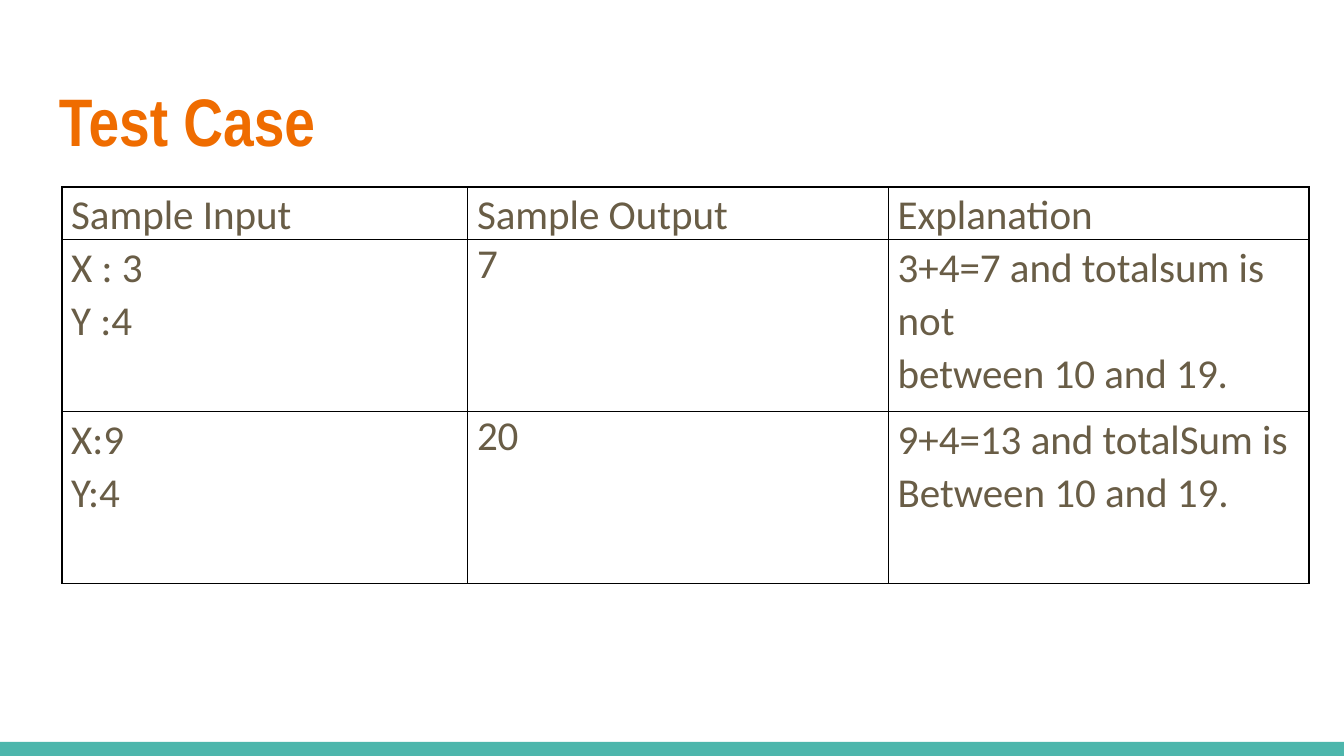
from typing import NamedTuple

from lxml.etree import SubElement
from pptx import Presentation
from pptx.dml.color import RGBColor
from pptx.enum.shapes import MSO_SHAPE
from pptx.enum.text import MSO_ANCHOR
from pptx.oxml.ns import qn
from pptx.util import Inches, Pt

ORANGE = RGBColor(0xEF, 0x6C, 0x00)
BROWN = RGBColor(0x69, 0x5D, 0x46)
TEAL = RGBColor(0x4D, 0xB6, 0xAC)
BLACK = RGBColor(0, 0, 0)
LINE_SPACING = 1.07
COLUMN_WIDTHS = (3.02, 3.13, 3.13)
ROW_HEIGHTS = (0.3, 1.28, 1.28)


class TestCase(NamedTuple):
    sample_input: str
    output: str
    explanation: str


HEADER = TestCase("Sample Input", "Sample Output", "Explanation")
CASES = [
    TestCase("X : 3\nY :4", "7", "3+4=7 and totalsum is not\nbetween 10 and 19."),
    TestCase("X:9\nY:4", "20", "9+4=13 and totalSum is\nBetween 10 and 19."),
]


def add_borders(cell) -> None:
    tc_pr = cell._tc.get_or_add_tcPr()
    for i, side in enumerate(("lnL", "lnR", "lnT", "lnB")):
        ln = tc_pr.makeelement(qn(f"a:{side}"), {"w": str(Pt(1))})
        tc_pr.insert(i, ln)
        fill = SubElement(ln, qn("a:solidFill"))
        SubElement(fill, qn("a:srgbClr"), val=str(BLACK))


def fill_cell(cell, text: str, spacing: float | None) -> None:
    cell.fill.background()
    cell.margin_left = cell.margin_right = Inches(0.07)
    cell.margin_top = cell.margin_bottom = 0
    cell.text_frame.text = text
    for p in cell.text_frame.paragraphs:
        if spacing:
            p.line_spacing = spacing
        for r in p.runs:
            r.font.name = "Calibri"
            r.font.size = Pt(22)
            r.font.color.rgb = BROWN
    add_borders(cell)


def add_title(s, text: str) -> None:
    box = s.shapes.add_textbox(Inches(0.34), Inches(0.49), Inches(9.32), Inches(0.77))
    tf = box.text_frame
    tf.word_wrap = True
    tf.vertical_anchor = MSO_ANCHOR.TOP
    tf.margin_left = tf.margin_right = tf.margin_top = tf.margin_bottom = Inches(0.1)
    tf.text = text
    font = tf.paragraphs[0].runs[0].font
    font.name = "Arial Narrow"
    font.size = Pt(36)
    font.bold = True
    font.color.rgb = ORANGE


def add_case_table(s, rows: list[TestCase]) -> None:
    frame = s.shapes.add_table(
        len(rows), len(COLUMN_WIDTHS), Inches(0.46), Inches(1.39),
        Inches(sum(COLUMN_WIDTHS)), Inches(sum(ROW_HEIGHTS)))
    table = frame.table
    table.first_row = table.horz_banding = False
    for column, width in zip(table.columns, COLUMN_WIDTHS):
        column.width = Inches(width)
    for row, height in zip(table.rows, ROW_HEIGHTS):
        row.height = Inches(height)
    for i, case in enumerate(rows):
        for j, text in enumerate(case):
            is_output_value = i > 0 and j == 1
            fill_cell(table.cell(i, j), text, None if is_output_value else LINE_SPACING)


def main() -> None:
    prs = Presentation()
    prs.slide_width = Inches(10)
    prs.slide_height = prs.slide_width * 9 // 16
    s = prs.slides.add_slide(prs.slide_layouts[6])

    bar = s.shapes.add_shape(
        MSO_SHAPE.RECTANGLE, 0, Inches(5.52), prs.slide_width, Inches(0.11))
    bar.shadow.inherit = False
    bar.fill.solid()
    bar.fill.fore_color.rgb = TEAL
    bar.line.fill.background()

    add_title(s, "Test Case")
    add_case_table(s, [HEADER, *CASES])
    prs.save("out.pptx")


if __name__ == "__main__":
    main()
